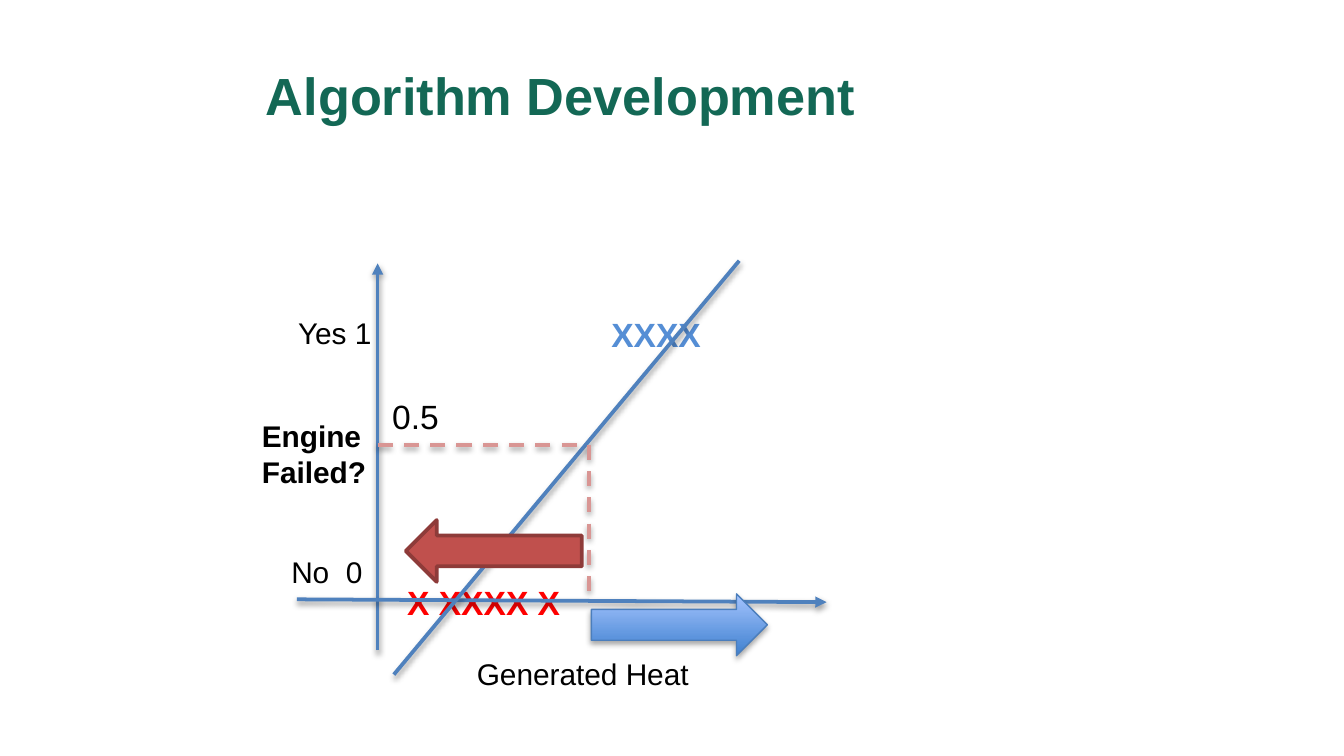
"""Build the Algorithm Development slide: a linear fit with a 0.5 decision threshold."""
from pptx import Presentation
from pptx.dml.color import RGBColor
from pptx.enum.dml import MSO_LINE
from pptx.enum.shapes import MSO_CONNECTOR, MSO_SHAPE
from pptx.enum.text import MSO_ANCHOR, MSO_AUTO_SIZE
from pptx.oxml import parse_xml
from pptx.oxml.ns import nsdecls
from pptx.util import Pt

GREEN = RGBColor(0x13, 0x68, 0x55)
BLUE = RGBColor(0x4F, 0x81, 0xBD)
LIGHT_BLUE = RGBColor(0x55, 0x8E, 0xD5)
PINK = RGBColor(0xD9, 0x96, 0x94)
RED = RGBColor(0xFF, 0x00, 0x00)
BLACK = RGBColor(0x00, 0x00, 0x00)
ARROW_RED = RGBColor(0xC0, 0x50, 0x4D)
ARROW_RED_EDGE = RGBColor(0x8E, 0x3B, 0x39)
ARROW_BLUE_EDGE = RGBColor(0x4B, 0x7E, 0xBC)
GRADIENT_COLORS = (RGBColor(0x3F, 0x80, 0xCE), RGBColor(0xA4, 0xC4, 0xFF))

AXIS_X = 202.3
THRESHOLD_X = 315.4
THRESHOLD_Y = 238.3


def add_shadow(shape, opacity):
    shape._element.spPr.append(parse_xml(
        f'<a:effectLst {nsdecls("a")}>'
        '<a:outerShdw blurRad="39370" dist="20320" dir="5400000" rotWithShape="0">'
        f'<a:srgbClr val="000000"><a:alpha val="{opacity * 1000}"/></a:srgbClr>'
        '</a:outerShdw></a:effectLst>'))


def add_text(text, left, top, width, height, size=16, color=BLACK, bold=False):
    box = slide.shapes.add_textbox(Pt(left), Pt(top), Pt(width), Pt(height))
    frame = box.text_frame
    frame.text = text
    frame.word_wrap = False
    frame.auto_size = MSO_AUTO_SIZE.SHAPE_TO_FIT_TEXT
    for paragraph in frame.paragraphs:
        paragraph.font.name = "Arial"
        paragraph.font.size = Pt(size)
        paragraph.font.bold = bold
        paragraph.font.color.rgb = color
    return frame


presentation = Presentation()
presentation.slide_width = Pt(720)
presentation.slide_height = Pt(405)
slide = presentation.slides.add_slide(presentation.slide_layouts[6])

title = add_text("Algorithm Development", 135.4, 16.6, 548.6, 67.7, 28, GREEN, True)
title.auto_size = MSO_AUTO_SIZE.NONE
title.word_wrap = True
title.vertical_anchor = MSO_ANCHOR.MIDDLE

for label in (
    ("Generated Heat", 248.4, 347.8, 129.6, 26.6),
    ("Engine\nFailed?", 133.2, 220.3, 72.7, 46.1, 16, BLACK, True),
    ("Yes 1", 152.6, 164.9, 54, 26.6),
    ("No  0", 149, 293, 53.3, 26.6),
    ("X XXXX X", 211, 308.2, 97.2, 28.8, 18, RED, True),
    ("XXXX", 320.4, 164.9, 63.4, 28.8, 18, LIGHT_BLUE, True),
    ("0.5", 203, 208.8, 39.6, 28.8, 18),
):
    add_text(*label)

for start_x, start_y, end_x, end_y, color, dashed, arrowhead in (
    (AXIS_X, 348.5, AXIS_X, 141.1, BLUE, False, True),
    (159.1, 321.1, 442.8, 322.6, BLUE, False, True),
    (396, 139.7, 211, 361.4, BLUE, False, False),
    (THRESHOLD_X, THRESHOLD_Y, THRESHOLD_X, 321.1, PINK, True, False),
    (AXIS_X, THRESHOLD_Y, 313.2, THRESHOLD_Y, PINK, True, False),
):
    connector = slide.shapes.add_connector(
        MSO_CONNECTOR.STRAIGHT, Pt(start_x), Pt(start_y), Pt(end_x), Pt(end_y))
    connector.line.color.rgb = color
    connector.line.width = Pt(2)
    if dashed:
        connector.line.dash_style = MSO_LINE.DASH
    if arrowhead:
        connector.line._get_or_add_ln().append(
            parse_xml(f'<a:tailEnd {nsdecls("a")} type="triangle"/>'))
    add_shadow(connector, 38)

failed_arrow, working_arrow = [
    slide.shapes.add_shape(MSO_SHAPE.RIGHT_ARROW, Pt(left), Pt(top), Pt(94.3), Pt(33.1))
    for left, top in ((316.8, 318.2), (217.4, 278.6))
]

failed_arrow.fill.gradient()
failed_arrow.fill.gradient_angle = 90
for stop, color, position in zip(failed_arrow.fill.gradient_stops, GRADIENT_COLORS, (0, 1)):
    stop.color.rgb = color
    stop.position = position
failed_arrow.line.color.rgb = ARROW_BLUE_EDGE
failed_arrow.line.width = Pt(0.75)
add_shadow(failed_arrow, 35)

working_arrow.rotation = 180
working_arrow.fill.solid()
working_arrow.fill.fore_color.rgb = ARROW_RED
working_arrow.line.color.rgb = ARROW_RED_EDGE
working_arrow.line.width = Pt(2)
working_arrow.shadow.inherit = False

presentation.save("out.pptx")
